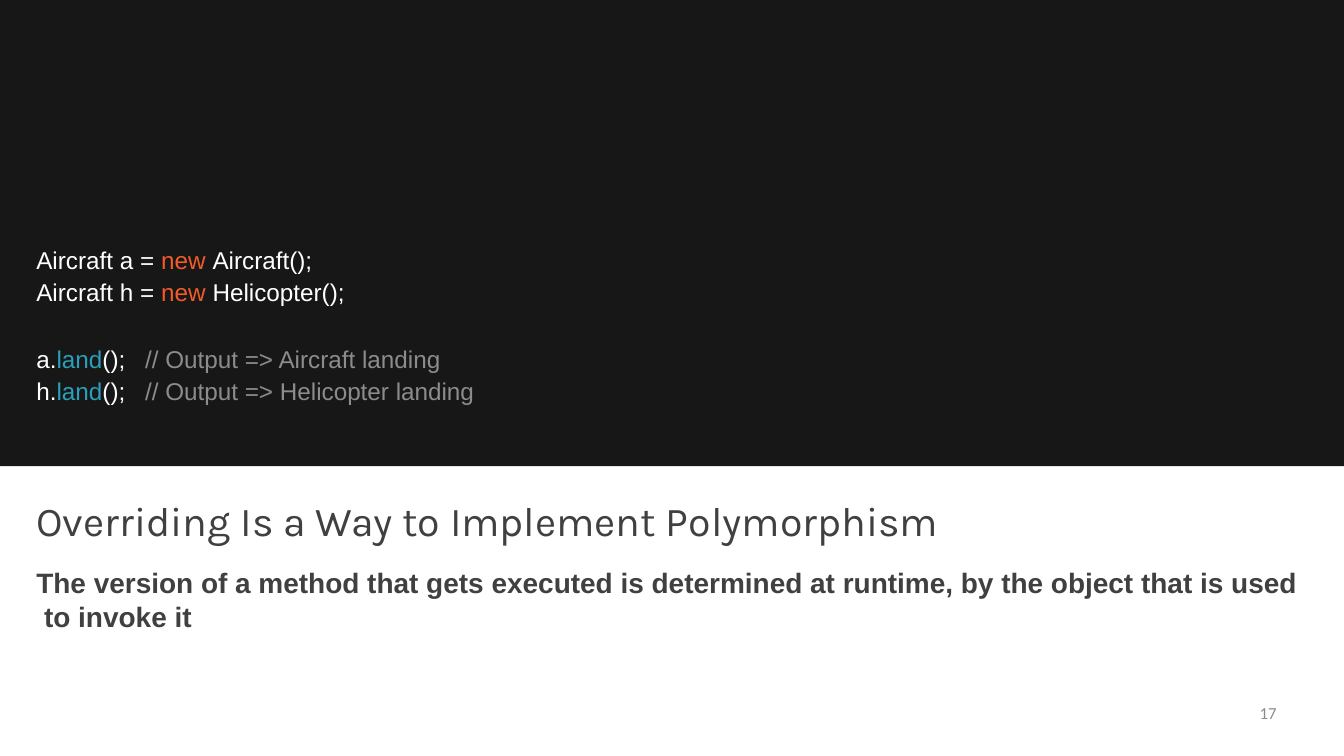
from lxml import etree
from pptx import Presentation
from pptx.dml.color import RGBColor
from pptx.enum.shapes import MSO_SHAPE
from pptx.enum.text import MSO_ANCHOR, MSO_AUTO_SIZE, PP_ALIGN
from pptx.oxml.ns import qn
from pptx.util import Inches, Pt

RECTANGLE = MSO_SHAPE.RECTANGLE
TOP = MSO_ANCHOR.TOP
NO_AUTOFIT = MSO_AUTO_SIZE.NONE
LEFT, RIGHT = PP_ALIGN.LEFT, PP_ALIGN.RIGHT

COLORS = {
    "panel": "171717", "paper": "FFFFFF", "heading": "404040",
    "code": "FFFFFF", "keyword": "F15B2A", "method": "2A9FBC", "muted": "8C8C8C",
}

SLIDE_W, SLIDE_H, CODE_H = 20, 11.25, 6.94
MARGIN = 0.54

HEADING = [[("Overriding Is a Way to Implement Polymorphism", "heading")]]
STATEMENT = [[("The version of a method that gets executed is determined at runtime, "
               "by the object that is used  to invoke it", "heading")]]
PAGE_NUMBER = [[("17", "muted")]]

DECLARATIONS = [
    [("Aircraft a = ", "code"), ("new ", "keyword"), ("Aircraft();", "code")],
    [("Aircraft h = ", "code"), ("new ", "keyword"), ("Helicopter();", "code")],
]
CALLS = [
    [(f"{variable}.", "code"), ("land", "method"), ("();", "code")]
    for variable in ("a", "h")
]
OUTPUTS = [
    [(f"// Output => {kind} landing", "muted")]
    for kind in ("Aircraft", "Helicopter")
]
# lines, left, top, width
CODE_BLOCKS = [
    (DECLARATIONS, MARGIN, 3.6, 5.2),
    (CALLS, MARGIN, 5.07, 1.5),
    (OUTPUTS, 2.16, 5.07, 5.2),
]


def color(name):
    return RGBColor.from_string(COLORS[name])


def add_panel(slide, top, height, fill):
    panel = slide.shapes.add_shape(
        RECTANGLE, Inches(0), Inches(top), Inches(SLIDE_W), Inches(height))
    panel.shadow.inherit = False
    panel.fill.solid()
    panel.fill.fore_color.rgb = color(fill)
    panel.line.fill.background()
    return panel


def write(holder, box, lines, font, size, bold=False, align=LEFT,
          inset=0, spacing=(0, 0)):
    """Place holder at box and fill it; spacing is points before the first and later lines."""
    holder.left, holder.top, holder.width, holder.height = map(Inches, box)
    frame = holder.text_frame
    frame.word_wrap = True
    frame.auto_size = NO_AUTOFIT
    frame.vertical_anchor = TOP
    frame.margin_left = frame.margin_right = frame.margin_bottom = 0
    frame.margin_top = Inches(inset)
    for index, line in enumerate(lines):
        paragraph = frame.add_paragraph() if index else frame.paragraphs[0]
        paragraph.alignment = align
        paragraph.space_before = Pt(spacing[min(index, 1)])
        for text, tint in line:
            run = paragraph.add_run()
            run.text = text
            run.font.name = font
            run.font.size = Pt(size)
            run.font.bold = bold
            run.font.color.rgb = color(tint)


def remove_bullets(holder):
    for paragraph in holder.text_frame.paragraphs:
        properties = paragraph._p.get_or_add_pPr()
        properties.set("marL", "0")
        properties.set("indent", "0")
        etree.SubElement(properties, qn("a:buNone"))


def add_text(slide, box, lines, *style, **options):
    write(slide.shapes.add_textbox(*map(Inches, box)), box, lines, *style, **options)


def main():
    deck = Presentation()
    deck.slide_width, deck.slide_height = Inches(SLIDE_W), Inches(SLIDE_H)
    slide = deck.slides.add_slide(deck.slide_layouts[1])
    title, body = slide.placeholders

    # Panels go behind the placeholders
    code_panel = add_panel(slide, 0, CODE_H, "panel")
    text_panel = add_panel(slide, CODE_H, SLIDE_H - CODE_H, "paper")
    title._element.addprevious(code_panel._element)
    title._element.addprevious(text_panel._element)

    write(title, (MARGIN, 7.38, 18.84, 0.8), HEADING, "Karla", 44)
    write(body, (MARGIN, 8.42, 18.84, 1.02), STATEMENT, "Arial", 30, bold=True)
    remove_bullets(body)

    for lines, left, top, width in CODE_BLOCKS:
        add_text(slide, (left, top, width, 0.97), lines, "Arial", 26,
                 inset=0.05, spacing=(3.9, 2.9))
    add_text(slide, (14.4, 10.46, 4.6, 0.56), PAGE_NUMBER, "Calibri", 18, align=RIGHT)

    deck.save("out.pptx")


if __name__ == "__main__":
    main()
